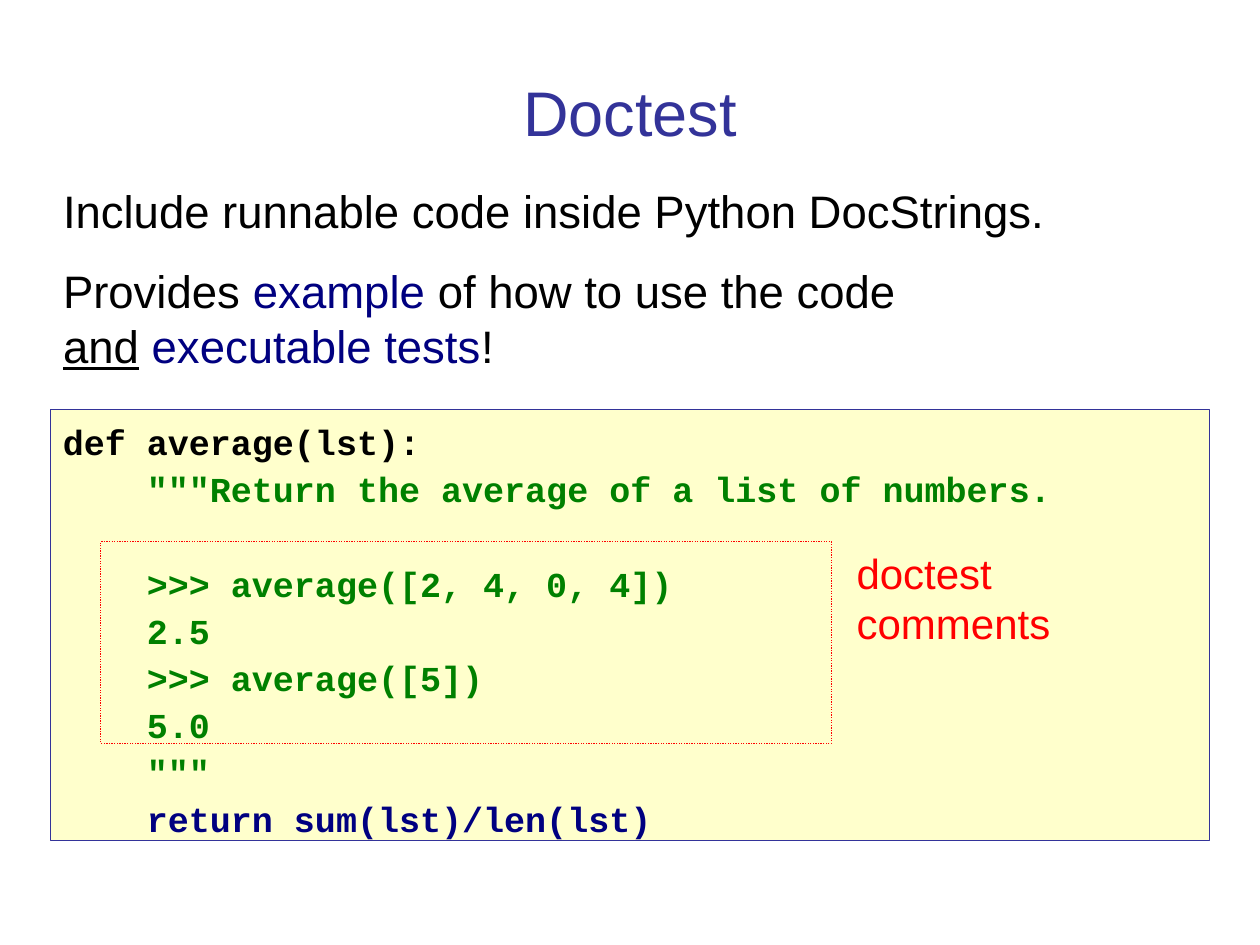
from pptx import Presentation
from pptx.dml.color import RGBColor
from pptx.enum.dml import MSO_LINE
from pptx.enum.shapes import MSO_SHAPE
from pptx.enum.text import MSO_ANCHOR, MSO_AUTO_SIZE, PP_ALIGN
from pptx.oxml.ns import qn
from pptx.util import Inches, Pt
from lxml.etree import SubElement

BLACK, NAVY, GREEN, RED, INDIGO = "000000", "000080", "008000", "FF0000", "333399"
BREAK = "\n"

# Each paragraph is a list of (text, colour) runs; "and" is underlined.
TITLE = [[("Doctest", INDIGO)]]
POINTS = [
    [("Include runnable code inside Python DocStrings.", BLACK)],
    [("Provides ", BLACK), ("example", NAVY), (" of how to use the code ", BLACK),
     (BREAK, BLACK), ("and", BLACK), (" ", BLACK), ("executable tests", NAVY),
     ("!", BLACK)],
]
CODE = [
    ("def average(lst):", BLACK),
    ('    """Return the average of a list of numbers.', GREEN),
    ("", GREEN),
    ("    >>> average([2, 4, 0, 4])", GREEN),
    ("    2.5", GREEN),
    ("    >>> average([5])", GREEN),
    ("    5.0", GREEN),
    ('    """', GREEN),
    ("    return sum(lst)/len(lst)", NAVY),
]
LABEL = [[("doctest comments", RED)]]
UNDERLINED = {"and"}


def rgb(code):
    return RGBColor.from_string(code)


def place(sp, left, top, width, height):
    sp.left, sp.top = Inches(left), Inches(top)
    sp.width, sp.height = Inches(width), Inches(height)


def write(sp, paragraphs, size, font="Arial", bold=False, align=PP_ALIGN.LEFT,
          anchor=MSO_ANCHOR.TOP, top=0.05, spacing=None, gap=0):
    """Fill a shape with paragraphs of (text, colour) runs."""
    tf = sp.text_frame
    tf.word_wrap = True
    tf.auto_size = MSO_AUTO_SIZE.NONE
    tf.vertical_anchor = anchor
    tf.margin_left = tf.margin_right = Inches(0.1)
    tf.margin_top, tf.margin_bottom = Inches(top), Inches(0.05)
    for i, runs in enumerate(paragraphs):
        p = tf.paragraphs[0] if i == 0 else tf.add_paragraph()
        pPr = p._p.get_or_add_pPr()
        pPr.set("marL", "0")
        pPr.set("indent", "0")
        SubElement(pPr, qn("a:buNone"))
        p.alignment = align
        p.space_before = Pt(gap if i else 0)
        if spacing:
            p.line_spacing = Pt(spacing)
        for text, color in runs:
            if text == BREAK:
                p.add_line_break()
            elif text:
                r = p.add_run()
                r.text = text
                r.font.name, r.font.size, r.font.bold = font, Pt(size), bold
                r.font.color.rgb = rgb(color)
                r.font.underline = text in UNDERLINED
            else:
                p._p.get_or_add_endParaRPr().set("sz", str(size * 100))


def add_box(s, box, line, fill=None, dash=None):
    sp = s.shapes.add_shape(MSO_SHAPE.RECTANGLE, *map(Inches, box))
    sp.shadow.inherit = False
    if fill:
        sp.fill.solid()
        sp.fill.fore_color.rgb = rgb(fill)
    else:
        sp.fill.background()
    sp.line.color.rgb = rgb(line)
    sp.line.width = Pt(0.75)
    if dash:
        sp.line.dash_style = dash
    return sp


def main():
    prs = Presentation()
    prs.slide_width, prs.slide_height = Inches(10), Inches(7.5)
    s = prs.slides.add_slide(prs.slide_layouts[1])
    title, body = s.placeholders

    place(title, 0.67, 0.28, 8.66, 0.95)
    write(title, TITLE, 36, align=PP_ALIGN.CENTER, anchor=MSO_ANCHOR.BOTTOM)
    place(body, 0.4, 1.4, 9, 0.53)
    write(body, POINTS, 26, spacing=31.4, gap=14.3)

    code = add_box(s, (0.4, 3.25, 9.2, 3.42), INDIGO, fill="FFFFCC")
    write(code, [[line] for line in CODE], 20, font="Courier New", bold=True,
          top=0.09, spacing=24, gap=2.9)

    add_box(s, (0.8, 4.3, 5.8, 1.6), RED, dash=MSO_LINE.ROUND_DOT)
    label = s.shapes.add_textbox(*map(Inches, (6.7, 4.3, 2.6, 0.9)))
    write(label, LABEL, 24, spacing=28.6)

    prs.save("out.pptx")


if __name__ == "__main__":
    main()
